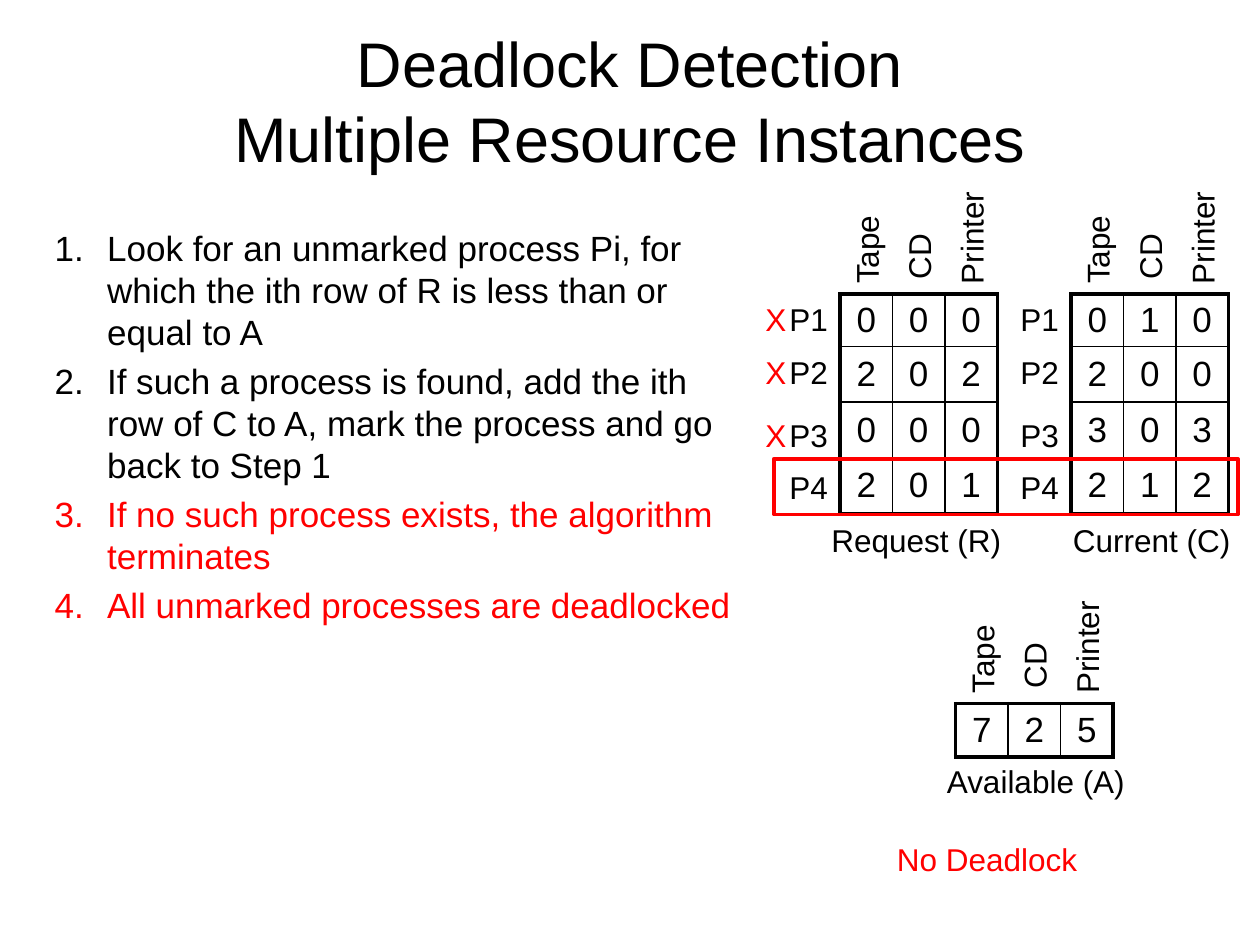
from lxml import etree
from pptx import Presentation, util as u
from pptx.dml.color import RGBColor
from pptx.enum import shapes, text
from pptx.oxml.ns import qn

BLACK, RED = "000000", "FF0000"
GRID = u.Inches(10) / 120  # the page is 120 columns by 90 rows
COL = 5  # width of one resource column
THICK, THIN = 2.25, 1


def grid(*counts):
    return [u.Emu(round(count * GRID)) for count in counts]


def write(para, words, size=18, colour=BLACK, align=None):
    para.text = words
    para.alignment = align
    look = {"name": "Arial", "size": u.Pt(size), "bold": False}
    for span in para.runs:
        for name, value in look.items():
            setattr(span.font, name, value)
        span.font.color.rgb = RGBColor.from_string(colour)


deck = Presentation()
deck.slide_width, deck.slide_height = grid(120, 90)
page = deck.slides.add_slide(deck.slide_layouts[1])
CENTER = text.PP_ALIGN.CENTER

# Title and numbered steps
title, body = page.placeholders
title.left, title.top, title.width, title.height = grid(6, 2, 108, 15)
title.text_frame.auto_size = text.MSO_AUTO_SIZE.NONE
title.text_frame.vertical_anchor = text.MSO_ANCHOR.MIDDLE
write(title.text_frame.paragraphs[0],
      "Deadlock Detection\vMultiple Resource Instances", 36, BLACK, CENTER)

body.left, body.top, body.width, body.height = grid(4, 21, 68, 64)
body.text_frame.auto_size = text.MSO_AUTO_SIZE.NONE
steps = [
    ("Look for an unmarked process Pi, for which the ith row of R is less than or equal to A", BLACK),
    ("If such a process is found, add the ith row of C to A, mark the process and go back to Step 1", BLACK),
    ("If no such process exists, the algorithm terminates", RED),
    ("All unmarked processes are deadlocked", RED),
]
for index, (words, colour) in enumerate(steps):
    para = body.text_frame.paragraphs[0] if index == 0 else body.text_frame.add_paragraph()
    write(para, words, 20, colour)
    para.space_before = u.Pt(4)
    props = para._p.get_or_add_pPr()
    indent = grid(COL)[0]
    props.set("marL", str(indent))
    props.set("indent", str(-indent))
    etree.SubElement(props, qn("a:buFont"), typeface="+mj-lt")
    etree.SubElement(props, qn("a:buAutoNum"), type="arabicPeriod")

# Matrices: left, top, row heights, values
matrices = [
    (102, 28, [5, 5.3, 5.3, 5.3], ["010", "200", "303", "212"]),
    (80, 28, [5, 5.3, 5.3, 5.3], ["000", "202", "000", "201"]),
    (91, 67, [5.1], ["725"]),
]
resources = [("Tape", 9.2, 4.4), ("CD", 6.7, 3.6), ("Printer", 11.3, 5.4)]
process_tops = [28, 33, 39, 44]
LABEL = 4.8  # height of a one-line label

# Labels: words, left, top, width, colour, rotation
labels = [
    ("Request (R)", 78, 49, 18.6, BLACK, 0),
    ("Current (C)", 101, 49, 17.4, BLACK, 0),
    ("Available (A)", 89, 72, 19.4, BLACK, 0),
    ("No Deadlock", 84.2, 79.4, 19.6, RED, 0),
]
labels += [("X", 71.7, top, 4.4, RED, 0) for top in process_tops[:3]]

for left, top, heights, values in matrices:
    last_row, last_col = len(values) - 1, len(resources) - 1
    frame = page.shapes.add_table(len(values), len(resources),
                                  *grid(left, top, COL * len(resources), sum(heights)))
    table = frame.table
    table.first_row = table.horz_banding = False
    for row, digits in enumerate(values):
        table.rows[row].height = grid(heights[row])[0]
        for col, digit in enumerate(digits):
            cell = table.cell(row, col)
            write(cell.text_frame.paragraphs[0], digit, 20, BLACK, CENTER)
            cell.vertical_anchor = text.MSO_ANCHOR.MIDDLE
            outer = {"a:lnL": col == 0, "a:lnR": col == last_col,
                     "a:lnT": row == 0, "a:lnB": row == last_row}
            for side, is_outer in outer.items():
                width = u.Pt(THICK if is_outer else THIN)
                edge = etree.SubElement(cell._tc.get_or_add_tcPr(), qn(side), w=str(width))
                paint = etree.SubElement(edge, qn("a:solidFill"))
                etree.SubElement(paint, qn("a:srgbClr"), val=BLACK)
            cell.fill.background()
    for col, (name, width, rise) in enumerate(resources):
        middle = left + (col + 0.5) * COL
        labels.append((name, middle - width / 2, top - rise - LABEL / 2, width, BLACK, 270))
    if last_row:
        labels += [(f"P{number}", left - 6, label_top, 6.1, BLACK, 0)
                   for number, label_top in enumerate(process_tops, 1)]

for words, left, top, width, colour, rotation in labels:
    box = page.shapes.add_textbox(*grid(left, top, width, LABEL))
    box.rotation = rotation
    box.text_frame.word_wrap = False
    box.text_frame.auto_size = text.MSO_AUTO_SIZE.SHAPE_TO_FIT_TEXT
    write(box.text_frame.paragraphs[0], words, 18, colour,
          CENTER if words == "No Deadlock" else None)

# Frame around the unmarked process
highlight = page.shapes.add_shape(shapes.MSO_SHAPE.RECTANGLE, *grid(73.7, 43.7, 44.2, 5.3))
highlight.shadow.inherit = False
highlight.fill.background()
highlight.line.color.rgb = RGBColor.from_string(RED)
highlight.line.width = u.Pt(2)

deck.save("out.pptx")
